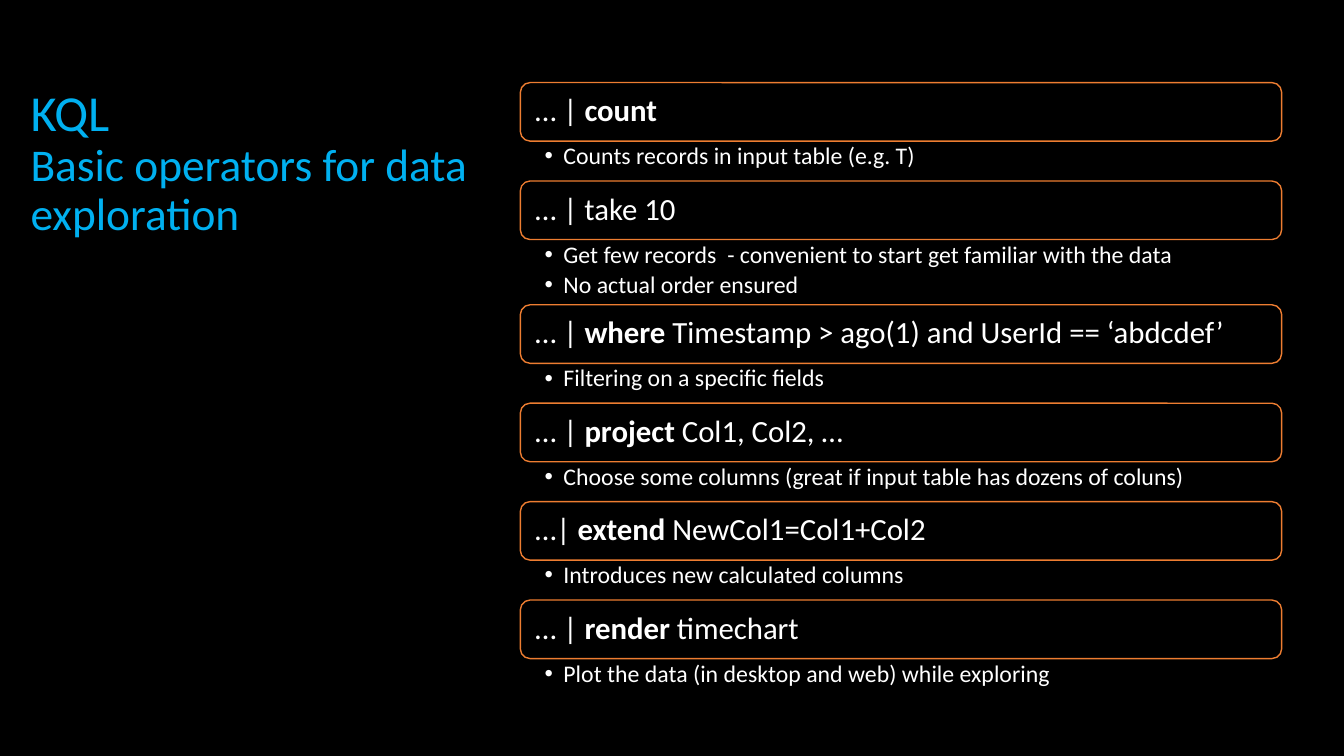
from copy import deepcopy

from pptx import Presentation
from pptx.dml.color import RGBColor
from pptx.enum.shapes import MSO_SHAPE
from pptx.enum.text import MSO_ANCHOR, MSO_AUTO_SIZE, PP_ALIGN
from pptx.util import Pt
from lxml.etree import SubElement

BLACK, WHITE, BLUE, ORANGE = "000000", "FFFFFF", "00B0F0", "ED7D31"
A = "{http://schemas.openxmlformats.org/drawingml/2006/main}"
HEADER_HEIGHT = 41.8
NOTE_PADDING = 10.4
NOTE_LINE = 18.1

OPERATORS = [
    ([("… | ", False), ("count", True)],
     ["Counts records in input table (e.g. T)"]),
    ([("… | take 10", False)],
     ["Get few records  - convenient to start get familiar with the data",
      "No actual order ensured"]),
    ([("… | ", False), ("where ", True),
      ("Timestamp > ago(1) and UserId == ‘abdcdef’", False)],
     ["Filtering on a specific fields"]),
    ([("… | ", False), ("project", True), (" Col1, Col2, …", False)],
     ["Choose some columns (great if input table has dozens of coluns)"]),
    ([("…| ", False), ("extend ", True), ("NewCol1=Col1+Col2", False)],
     ["Introduces new calculated columns"]),
    ([("… | ", False), ("render ", True), ("timechart", False)],
     ["Plot the data (in desktop and web) while exploring"]),
]


def rgb(value):
    return RGBColor.from_string(value)


def add_run(paragraph, text, size, color, bold=False):
    run = paragraph.add_run()
    run.text = text
    run.font.name = "Calibri"
    run.font.size = Pt(size)
    run.font.bold = bold
    run.font.color.rgb = rgb(color)
    return run


def set_frame(frame, anchor, left, top, right, bottom):
    frame.word_wrap = True
    frame.auto_size = MSO_AUTO_SIZE.NONE
    frame.vertical_anchor = anchor
    frame.margin_left, frame.margin_top = Pt(left), Pt(top)
    frame.margin_right, frame.margin_bottom = Pt(right), Pt(bottom)


def place_title(slide, left, top, width, height):
    title = slide.shapes.title
    title.left, title.top = Pt(left), Pt(top)
    title.width, title.height = Pt(width), Pt(height)
    set_frame(title.text_frame, MSO_ANCHOR.TOP, 7.2, 3.6, 7.2, 3.6)
    heading = title.text_frame.paragraphs[0]
    heading.alignment = PP_ALIGN.LEFT
    heading.line_spacing = 0.9
    language = add_run(heading, "KQL", 36, BLUE)
    heading.add_line_break()
    line_break = heading._p.find(A + "br")
    line_break.append(deepcopy(language.font._rPr))
    add_run(heading, "Basic operators for data exploration", 32.4, BLUE)


def add_header(slide, parts, left, top, width):
    header = slide.shapes.add_shape(MSO_SHAPE.ROUNDED_RECTANGLE, Pt(left), Pt(top),
                                    Pt(width), Pt(HEADER_HEIGHT))
    header.shadow.inherit = False
    header.fill.background()
    header.line.color.rgb = rgb(ORANGE)
    header.line.width = Pt(1)
    set_frame(header.text_frame, MSO_ANCHOR.MIDDLE, 8.6, 6.6, 8.6, 6.6)
    query = header.text_frame.paragraphs[0]
    query.alignment = PP_ALIGN.LEFT
    query.line_spacing = 0.9
    for text, bold in parts:
        add_run(query, text, 22, WHITE, bold)


def add_notes(slide, notes, left, top, width, height):
    box = slide.shapes.add_textbox(Pt(left), Pt(top), Pt(width), Pt(height))
    frame = box.text_frame
    set_frame(frame, MSO_ANCHOR.TOP, 17.3, 2.2, 12.2, 2.2)
    for index, note in enumerate(notes):
        bullet = frame.add_paragraph() if index else frame.paragraphs[0]
        bullet.level = 1
        bullet.line_spacing = 0.9
        bullet.space_after = Pt(3)
        properties = bullet._p.get_or_add_pPr()
        properties.set("marL", str(Pt(13.5)))
        properties.set("indent", str(-Pt(13.5)))
        SubElement(properties, A + "buFont", typeface="Arial")
        SubElement(properties, A + "buChar", char="•")
        add_run(bullet, note, 17, WHITE)


def add_operators(slide, left, top, width):
    for parts, notes in OPERATORS:
        add_header(slide, parts, left, top, width)
        top += HEADER_HEIGHT
        height = NOTE_PADDING + NOTE_LINE * len(notes)
        add_notes(slide, notes, left, top, width, height)
        top += height


def main():
    deck = Presentation()
    deck.slide_width, deck.slide_height = Pt(960), Pt(540)
    slide = deck.slides.add_slide(deck.slide_layouts[5])
    slide.background.fill.solid()
    slide.background.fill.fore_color.rgb = rgb(BLACK)
    place_title(slide, 14.6, 59, 414.7, 68.4)
    add_operators(slide, 371.7, 59, 543.8)
    deck.save("out.pptx")


if __name__ == "__main__":
    main()
